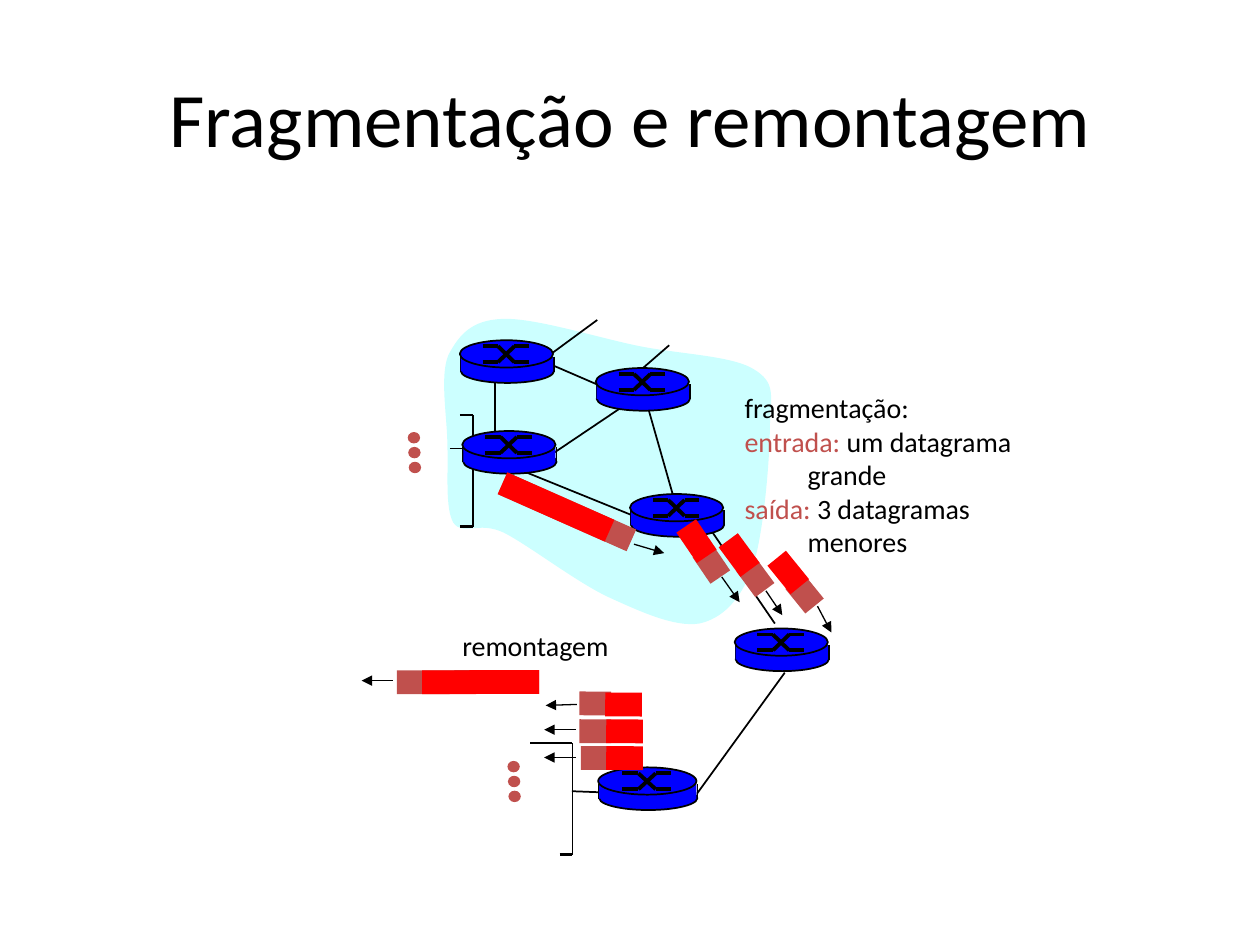
from lxml.etree import SubElement
from pptx import Presentation
from pptx.dml.color import RGBColor
from pptx.enum.shapes import MSO_CONNECTOR, MSO_SHAPE
from pptx.enum.text import MSO_ANCHOR, MSO_AUTO_SIZE as AUTO_SIZE, PP_ALIGN
from pptx.oxml.ns import qn
from pptx.util import Cm, Pt

COLORS = {"ink": "000000", "cloud": "CCFFFF", "router": "0000FF",
          "header": "C0504D", "payload": "FF0000"}
FONT = "Calibri"
ROUTER_WIDTH = 1.88
PACKET_HEIGHT = 0.48
FRAGMENT_HEADER, FRAGMENT_PAYLOAD, LONG_PAYLOAD = 0.64, 0.74, 2.36

# All coordinates are in centimetres
CLOUD = [(10.13, 6.43), (9.5, 6.45), (9.25, 6.76), (9.04, 7.16),
         (8.86, 7.59), (9.02, 8.43), (9.02, 8.99),
         (9.04, 9.55), (8.97, 10.24), (9.14, 10.54),
         (9.35, 10.82), (9.63, 10.49), (10.16, 10.74),
         (10.67, 11), (11.61, 11.73), (12.27, 12.04),
         (12.93, 12.34), (13.61, 12.65), (14.1, 12.57),
         (14.55, 12.47), (14.91, 12.12), (15.16, 11.48),
         (15.39, 10.82), (15.52, 9.28), (15.52, 8.61),
         (15.54, 7.95), (15.65, 7.72), (15.19, 7.44),
         (14.73, 7.16), (13.64, 7.14), (12.8, 6.96),
         (11.96, 6.78), (10.74, 6.4), (10.13, 6.43)]

# Left, top, width
ROUTERS = [(9.27, 6.86, ROUTER_WIDTH), (9.32, 8.69, ROUTER_WIDTH),
           (12.01, 7.42, ROUTER_WIDTH), (12.7, 9.96, ROUTER_WIDTH),
           (12.06, 15.47, 1.98), (14.81, 12.67, ROUTER_WIDTH)]

# Start x, start y, end x, end y
LINKS = [(9.07, 9.04, 9.42, 9.04), (10.67, 7.16, 12.5, 7.95),
         (13.03, 8.1, 13.56, 9.96), (9.98, 7.49, 9.98, 9.09),
         (10.06, 9.3, 12.75, 10.39), (15.62, 12.57, 14.3, 10.64),
         (12.8, 8.03, 10.69, 9.45), (12.04, 6.45, 10.72, 7.42),
         (13.49, 6.96, 12.73, 7.62), (11.53, 15.95, 12.06, 15.97),
         (15.82, 13.56, 14.05, 16)]
ARROWS = [(12.78, 10.97, 13.39, 11.15), (14.55, 11.63, 14.91, 12.14),
          (15.44, 11.91, 15.77, 12.4), (16.48, 12.22, 16.76, 12.75),
          (11.63, 14.2, 11, 14.22), (11.61, 14.71, 10.97, 14.71),
          (11.61, 15.27, 10.97, 15.27), (7.92, 13.72, 7.29, 13.72)]

# Rotation, then left, top and width of the header and of the payload
PACKETS = [(23.9, (10.01, 10.08, 2.84), (10.03, 9.98, LONG_PAYLOAD)),
           (179.9, (8, 13.51, 2.87), (8.51, 13.51, LONG_PAYLOAD))]
FRAGMENTS = [(55.8, (14.02, 11.13), (13.67, 10.67)),
             (53.6, (14.91, 11.4), (14.53, 10.95)),
             (50.9, (15.9, 11.73), (15.52, 11.3)),
             (180.4, (11.68, 13.94), (12.2, 13.96)),
             (180.4, (11.68, 14.5), (12.22, 14.5)),
             (180.4, (11.71, 15.04), (12.22, 15.04))]


def rgb(name):
    return RGBColor.from_string(COLORS[name])


def add_figure(shapes, kind, box, fill, outlined=False, rotation=0):
    figure = shapes.add_shape(kind, *(Cm(v) for v in box))
    figure.shadow.inherit = False
    figure.rotation = rotation
    figure.fill.solid()
    figure.fill.fore_color.rgb = rgb(fill)
    if outlined:
        figure.line.color.rgb = rgb("ink")
        figure.line.width = Pt(1)
    else:
        figure.line.fill.background()


def add_line(shapes, ends, width=1, arrow=False):
    line = shapes.add_connector(MSO_CONNECTOR.STRAIGHT, *(Cm(v) for v in ends))
    line.line.color.rgb = rgb("ink")
    line.line.width = Pt(width)
    properties = line._element.spPr
    if arrow:
        SubElement(properties.find(qn("a:ln")), qn("a:tailEnd"), type="triangle")
    SubElement(properties, qn("a:effectLst"))


def add_cloud(shapes):
    start, *controls = [(Cm(x), Cm(y)) for x, y in CLOUD]
    builder = shapes.build_freeform(*start)
    builder.add_line_segments(controls, close=True)
    cloud = builder.convert_to_shape()
    cloud.shadow.inherit = False
    cloud.fill.solid()
    cloud.fill.fore_color.rgb = rgb("cloud")
    cloud.line.fill.background()
    # Every three straight segments become one Bézier curve
    segments = list(cloud._element.iter(qn("a:lnTo")))
    for i in range(0, len(CLOUD) - 1, 3):
        outline = segments[i].getparent()
        curve = SubElement(outline, qn("a:cubicBezTo"))
        outline.replace(segments[i], curve)
        for segment in segments[i:i + 3]:
            curve.append(segment[0])
            if segment.getparent() is not None:
                outline.remove(segment)


def add_router(slide, left, top, width):
    router = slide.shapes.add_group_shape().shapes
    scale = width / ROUTER_WIDTH
    edge = left + 0.02
    # Cylinder
    add_figure(router, MSO_SHAPE.OVAL, (edge, top + 0.38, width, 0.48), "router", True)
    for x in (edge, edge + width):
        add_line(router, (x, top + 0.33, x, top + 0.63))
    add_figure(router, MSO_SHAPE.RECTANGLE, (edge, top + 0.33, width - 0.02, 0.3), "router")
    add_figure(router, MSO_SHAPE.OVAL, (left, top, width, 0.55), "router", True)
    # Crossed paths, one falling and one rising
    x1, x2, x3, x4 = (left + offset * scale for offset in (0.46, 0.77, 1.1, 1.4))
    high, low = top + 0.12, top + 0.44
    for begin, end in ((high, low), (low, high)):
        add_line(router, (x1, begin, x2, begin), 2.25)
        add_line(router, (x3, end, x4, end), 2.25)
        add_line(router, (x2, begin, x3, end), 2.25)


def add_network_end(slide, x, top, bottom, upper_left, lower_left, dots_left, dots_top):
    bracket = slide.shapes.add_group_shape().shapes
    add_line(bracket, (upper_left, top, x, top), 1.5)
    add_line(bracket, (lower_left, bottom, x, bottom), 1.5)
    add_line(bracket, (x, top, x, bottom))
    for i in range(3):
        add_figure(bracket, MSO_SHAPE.OVAL,
                   (dots_left + 0.01 * i, dots_top + 0.3 * i, 0.25, 0.23), "header")


def add_packet(slide, rotation, header, payload):
    packet = slide.shapes.add_group_shape().shapes
    for part, fill in ((header, "header"), (payload, "payload")):
        add_figure(packet, MSO_SHAPE.RECTANGLE, (*part, PACKET_HEIGHT), fill,
                   rotation=rotation)


def add_label(slide, box, paragraphs):
    frame = slide.shapes.add_textbox(*(Cm(v) for v in box)).text_frame
    frame.word_wrap = False
    frame.auto_size = AUTO_SIZE.SHAPE_TO_FIT_TEXT
    for i, parts in enumerate(paragraphs):
        paragraph = frame.add_paragraph() if i else frame.paragraphs[0]
        for text, color in parts:
            if text == "\n":
                paragraph.add_line_break()
                continue
            run = paragraph.add_run()
            run.text = text
            run.font.name, run.font.size = FONT, Pt(16)
            run.font.color.rgb = rgb(color)


def set_title(slide, text):
    title = slide.shapes.title
    title.left, title.top, title.width, title.height = (
        Cm(v) for v in (1.27, 0.76, 22.86, 3.18))
    title.text_frame.text = text
    title.text_frame.vertical_anchor = MSO_ANCHOR.MIDDLE
    paragraph = title.text_frame.paragraphs[0]
    paragraph.alignment = PP_ALIGN.CENTER
    font = paragraph.runs[0].font
    font.name, font.size = FONT, Pt(44)
    font.color.rgb = rgb("ink")


def main():
    prs = Presentation()
    prs.slide_width, prs.slide_height = Cm(25.4), Cm(19.05)
    slide = prs.slides.add_slide(prs.slide_layouts[5])
    set_title(slide, "Fragmentação e remontagem")

    # Network
    add_cloud(slide.shapes)
    add_network_end(slide, 9.53, 8.37, 10.62, 9.27, 9.27, 8.22, 8.71)
    add_network_end(slide, 11.54, 14.98, 17.23, 10.69, 11.28, 10.23, 15.34)
    for link in LINKS:
        add_line(slide.shapes, link)
    for router in ROUTERS:
        add_router(slide, *router)

    # Datagrams and their directions
    for packet in PACKETS:
        add_packet(slide, *packet)
    for rotation, header, payload in FRAGMENTS:
        add_packet(slide, rotation, (*header, FRAGMENT_HEADER),
                   (*payload, FRAGMENT_PAYLOAD))
    for arrow in ARROWS:
        add_line(slide.shapes, arrow, 0.75, arrow=True)

    # Explanations
    add_label(slide, (14.76, 7.75, 6.73, 3.66), [
        [("fragmentação:", "ink")],
        [("entrada:", "header"), (" um datagrama", "ink")],
        [("\tgrande", "ink")],
        [("saída:", "header"), (" 3 datagramas ", "ink"), ("\n", "ink"),
         ("\tmenores", "ink")]])
    add_label(slide, (9.07, 12.55, 3.73, 0.94), [[("remontagem", "ink")]])

    prs.save("out.pptx")


if __name__ == "__main__":
    main()
